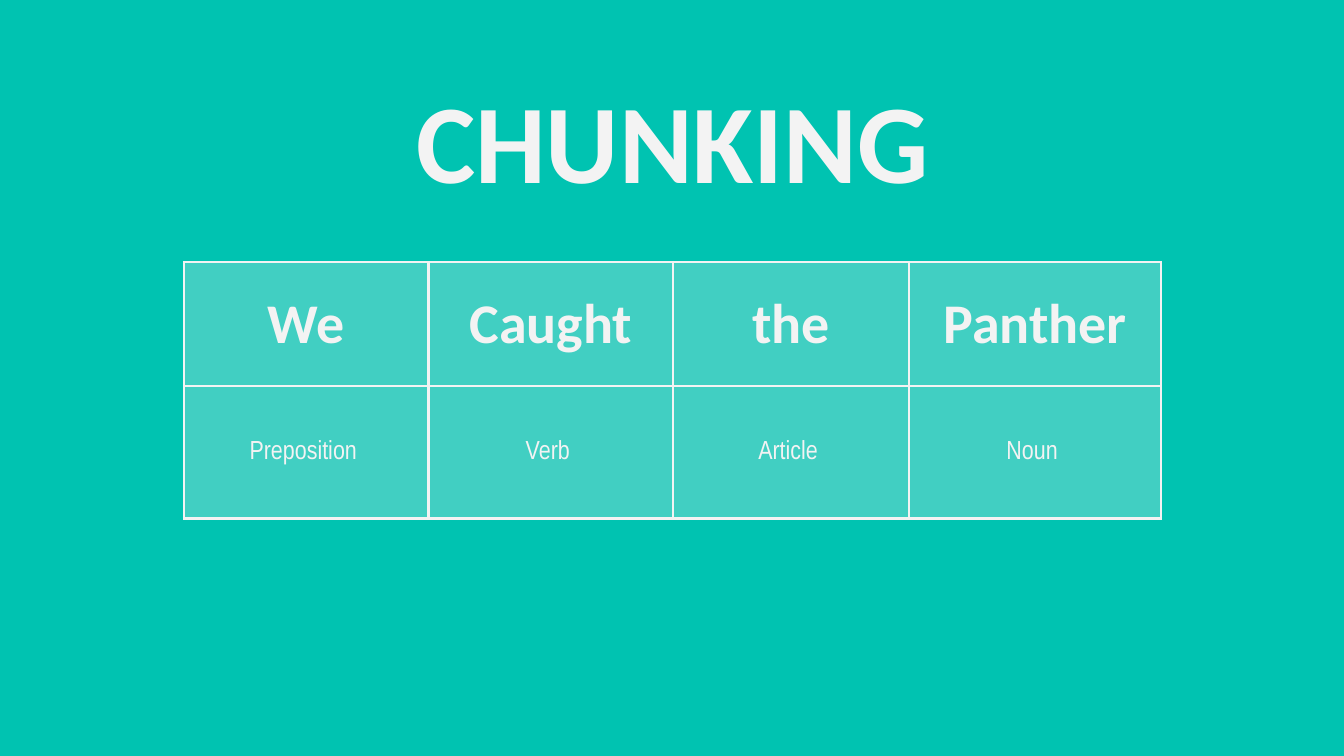
from lxml.etree import SubElement
from pptx import Presentation
from pptx.dml.color import RGBColor
from pptx.enum.text import MSO_ANCHOR, PP_ALIGN
from pptx.oxml import parse_xml
from pptx.oxml.ns import nsdecls, qn
from pptx.util import Pt


def rgb(value):
    return RGBColor.from_string(value)


class Deck:
    background = "00C3B1"
    light = "F3F3F3"
    heading_font = "Calibri"
    label_font = "Arial Narrow"
    inset = 7.2

    def __init__(self, prs):
        self.s = prs.slides.add_slide(prs.slide_layouts[5])
        fill = self.s.background.fill
        fill.solid()
        fill.fore_color.rgb = rgb(self.background)

    def style(self, p, size, name, bold):
        p.alignment = PP_ALIGN.CENTER
        p.font.size = Pt(size)
        p.font.name = name
        p.font.bold = bold
        p.font.color.rgb = rgb(self.light)

    def title(self, text, left, top, width, height):
        sp = self.s.shapes.title
        sp.left, sp.top, sp.width, sp.height = map(Pt, (left, top, width, height))
        tf = sp.text_frame
        tf.word_wrap = True
        tf.vertical_anchor = MSO_ANCHOR.TOP
        tf.margin_left = tf.margin_right = tf.margin_bottom = Pt(self.inset)
        tf.margin_top = Pt(10.2)
        tf.text = text
        self.style(tf.paragraphs[0], 60, self.heading_font, True)

    def cell(self, cell, text, size, name, bold):
        cell.text = text
        cell.vertical_anchor = MSO_ANCHOR.MIDDLE
        cell.margin_left = cell.margin_right = Pt(self.inset)
        cell.margin_top = cell.margin_bottom = Pt(self.inset)
        self.style(cell.text_frame.paragraphs[0], size, name, bold)
        cell.fill.solid()
        cell.fill.fore_color.rgb = rgb(self.light)
        tc_pr = cell._tc.get_or_add_tcPr()
        color = tc_pr.find(qn("a:solidFill")).find(qn("a:srgbClr"))
        SubElement(color, qn("a:alpha"), val="27000")
        for i, side in enumerate("LRTB"):
            tc_pr.insert(i, parse_xml(
                f'<a:ln{side} {nsdecls("a")} w="{Pt(1.5)}"><a:solidFill>'
                f'<a:srgbClr val="{self.light}"/></a:solidFill></a:ln{side}>'))

    def table(self, rows, left, top, widths, heights):
        frame = self.s.shapes.add_table(
            len(rows), len(widths), Pt(left), Pt(top),
            Pt(sum(widths)), Pt(sum(heights)))
        table = frame.table
        table.first_row = table.horz_banding = False
        for column, width in zip(table.columns, widths):
            column.width = Pt(width)
        for i, (height, (texts, *look)) in enumerate(zip(heights, rows)):
            table.rows[i].height = Pt(height)
            for j, text in enumerate(texts):
                self.cell(table.cell(i, j), text, *look)


def main():
    prs = Presentation()
    prs.slide_width, prs.slide_height = Pt(720), Pt(405)
    deck = Deck(prs)
    deck.title("CHUNKING", 56.9, 28.1, 607, 45.4)
    words = ["We", "Caught", "the", "Panther"]
    labels = ["Preposition ", "Verb ", "Article ", "Noun "]
    deck.table(
        [(words, 30, deck.heading_font, True),
         (labels, 14, deck.label_font, False)],
        98.6, 140.4, [131, 131, 126.5, 135], [66.5, 71])
    prs.save("out.pptx")


if __name__ == "__main__":
    main()
